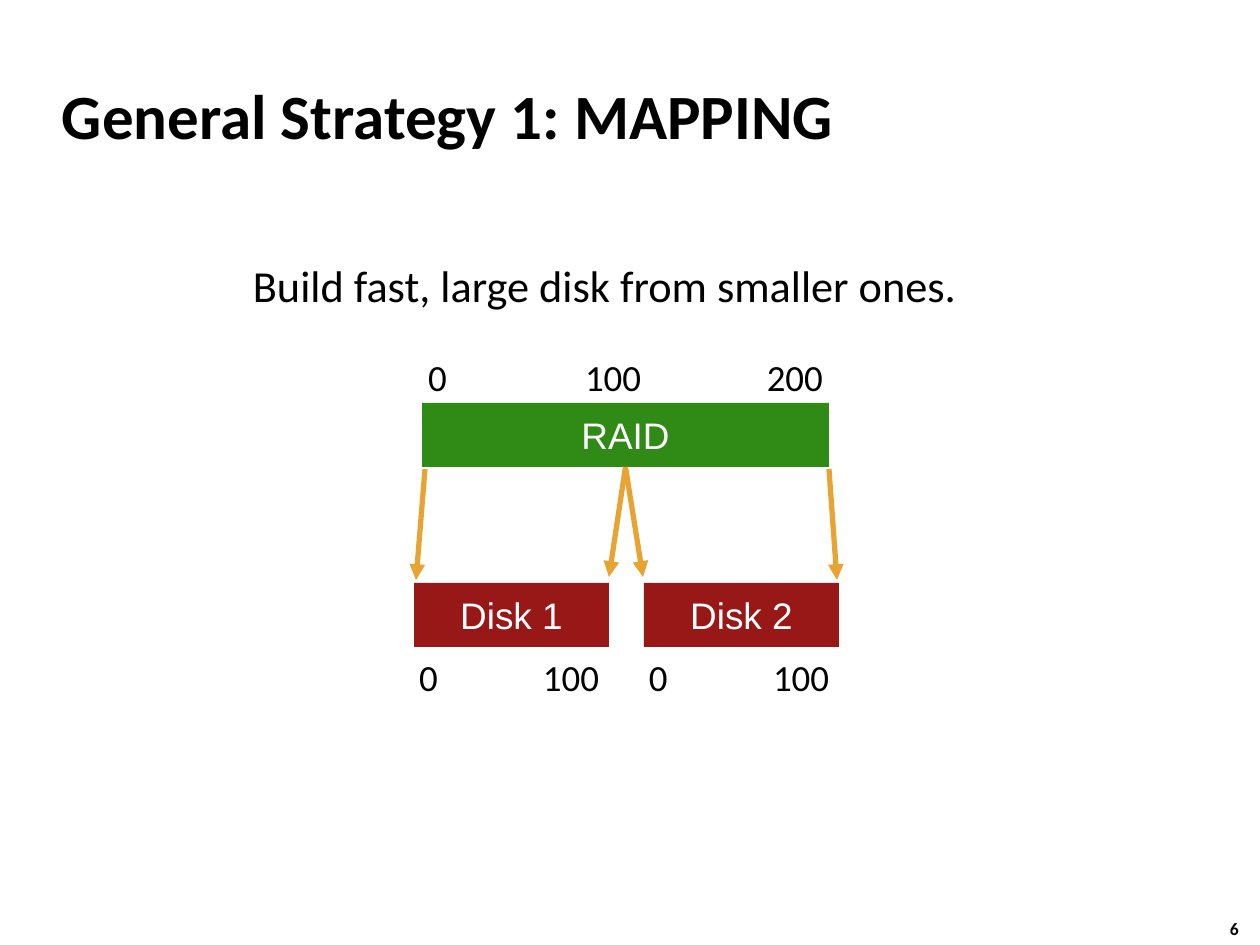
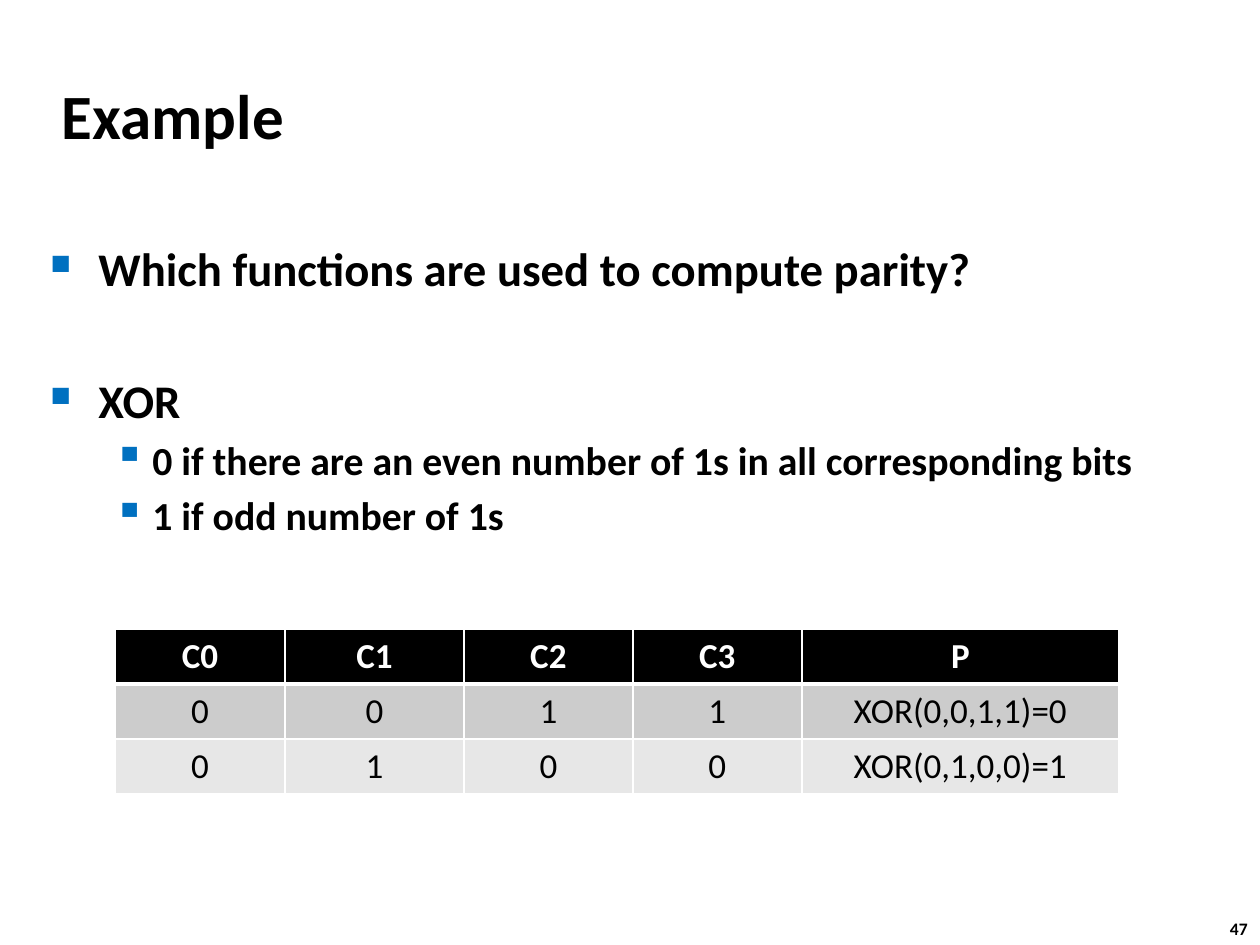
from lxml.etree import SubElement
from pptx import Presentation
from pptx.dml.color import RGBColor
from pptx.enum.shapes import MSO_CONNECTOR, MSO_SHAPE
from pptx.enum.text import MSO_ANCHOR, PP_ALIGN
from pptx.oxml.ns import qn
from pptx.util import Emu, Pt

COLORS = {
    "text": "000000",
    "white": "FFFFFF",
    "raid": "308B16",
    "disk": "971817",
    "arrow": "E8A433",
    "bullet": "0070C0",
    "header": "000000",
    "odd_row": "CCCCCC",
    "even_row": "E7E7E7",
}
EMU_PER_PX = 914400 / 126


def px(*lengths):
    return [Emu(round(length * EMU_PER_PX)) for length in lengths]


def add_text(slide, box, text, size, bold=False, margin=5, align=PP_ALIGN.LEFT):
    shape = slide.shapes.add_textbox(*px(*box))
    frame = shape.text_frame
    frame.word_wrap = False
    frame.vertical_anchor = MSO_ANCHOR.MIDDLE
    frame.margin_left, frame.margin_right = px(margin, margin)
    frame.margin_top, frame.margin_bottom = px(5, 5)
    paragraph = frame.paragraphs[0]
    paragraph.text = text
    paragraph.alignment = align
    paragraph.font.name = "Calibri"
    paragraph.font.size = Pt(size)
    paragraph.font.bold = bold
    paragraph.font.color.rgb = RGBColor.from_string(COLORS["text"])


presentation = Presentation()
presentation.slide_width, presentation.slide_height = px(1260, 945)

slides = []
for title, number in [("General Strategy 1: MAPPING", "6"), ("Example", "47")]:
    slide = presentation.slides.add_slide(presentation.slide_layouts[6])
    add_text(slide, (1217, 911, 47, 34), number, 10, bold=True, margin=13)
    add_text(slide, (49, 62, 1046, 105), title, 36, bold=True, margin=13)
    slides.append(slide)
mapping_slide, example_slide = slides

add_text(mapping_slide, (248, 253, 719, 63), "Build fast, large disk from smaller ones.", 25.3)

DISK_LEFTS = [414, 644]
blocks = {}
for name, color, left, top, width in [
    ("RAID", "raid", 422, 403, 407),
    ("Disk 1", "disk", DISK_LEFTS[0], 583, 195),
    ("Disk 2", "disk", DISK_LEFTS[1], 583, 195),
]:
    block = mapping_slide.shapes.add_shape(MSO_SHAPE.RECTANGLE, *px(left, top, width, 64))
    block.shadow.inherit = False
    block.fill.solid()
    block.fill.fore_color.rgb = RGBColor.from_string(COLORS[color])
    block.line.fill.background()
    frame = block.text_frame
    frame.margin_left = frame.margin_right = frame.margin_top = frame.margin_bottom = 0
    frame.vertical_anchor = MSO_ANCHOR.MIDDLE
    paragraph = frame.paragraphs[0]
    paragraph.text = name
    paragraph.alignment = PP_ALIGN.CENTER
    paragraph.font.name = "Arial"
    paragraph.font.size = Pt(21.1)
    paragraph.font.color.rgb = RGBColor.from_string(COLORS["white"])
    blocks[name] = block

for start_x, start_y, end_x, end_y, from_middle in [
    (626, 467, 609, 577, True),
    (626, 467, 643, 577, True),
    (829, 469, 837, 580, False),
    (425, 469, 416, 580, False),
]:
    arrow = mapping_slide.shapes.add_connector(
        MSO_CONNECTOR.STRAIGHT, *px(start_x, start_y, end_x, end_y)
    )
    if from_middle:
        arrow.begin_connect(blocks["RAID"], 2)
    arrow.line.color.rgb = RGBColor.from_string(COLORS["arrow"])
    arrow.line.width = Pt(3)
    SubElement(arrow.line._get_or_add_ln(), qn("a:tailEnd"), type="triangle")
    SubElement(arrow._element.spPr, qn("a:effectLst"))

add_text(mapping_slide, (423, 350, 29, 54), "0", 21.1)
add_text(mapping_slide, (580, 350, 67, 54), "100", 21.1)
add_text(mapping_slide, (761, 350, 67, 54), "200", 21.1, align=PP_ALIGN.RIGHT)
for left in DISK_LEFTS:
    add_text(mapping_slide, (left, 650, 29, 54), "0", 21.1)
    add_text(mapping_slide, (left + 124, 650, 67, 54), "100", 21.1)

body = example_slide.shapes.add_textbox(*px(38, 234, 1189, 436)).text_frame
body.word_wrap = True
BULLET_STYLES = [
    {"size": 26.7, "margin": 48, "hanging": 48, "symbol": "■", "scale": "60000"},
    {"size": 22.7, "margin": 102, "hanging": 39, "symbol": "▪", "scale": "110000"},
]
for index, (level, space_before, text) in enumerate([
    (0, 0, "Which functions are used to compute parity?"),
    (0, 43, "XOR"),
    (1, 4.5, "0 if there are an even number of 1s in all corresponding bits"),
    (1, 4.5, "1 if odd number of 1s"),
]):
    style = BULLET_STYLES[level]
    paragraph = body.add_paragraph() if index else body.paragraphs[0]
    paragraph.text = text
    paragraph.level = level
    paragraph.space_before = Pt(space_before)
    margin, hanging = px(style["margin"], style["hanging"])
    properties = paragraph._p.get_or_add_pPr()
    properties.set("marL", str(margin))
    properties.set("indent", str(-hanging))
    bullet_color = SubElement(properties, qn("a:buClr"))
    SubElement(bullet_color, qn("a:srgbClr"), val=COLORS["bullet"])
    SubElement(properties, qn("a:buSzPct"), val=style["scale"])
    SubElement(properties, qn("a:buChar"), char=style["symbol"])
    paragraph.font.name = "Calibri"
    paragraph.font.size = Pt(style["size"])
    paragraph.font.bold = True
    paragraph.font.color.rgb = RGBColor.from_string(COLORS["text"])

PARITY_ROWS = [
    ["C0", "C1", "C2", "C3", "P"],
    ["0", "0", "1", "1", "XOR(0,0,1,1)=0"],
    ["0", "1", "0", "0", "XOR(0,1,0,0)=1"],
]
COLUMN_WIDTHS = px(170, 179, 169, 169, 317)
table = example_slide.shapes.add_table(3, 5, *px(115, 629, 1004, 165)).table
for column, width in zip(table.columns, COLUMN_WIDTHS):
    column.width = width
for row_index, (values, fill) in enumerate(zip(PARITY_ROWS, ["header", "odd_row", "even_row"])):
    is_header = row_index == 0
    border_widths = {
        "a:lnL": 1,
        "a:lnR": 1,
        "a:lnT": 3 if row_index == 1 else 1,
        "a:lnB": 3 if is_header else 1,
    }
    for column_index, value in enumerate(values):
        cell = table.cell(row_index, column_index)
        for side, width in border_widths.items():
            border = SubElement(cell._tc.get_or_add_tcPr(), qn(side), w=str(Pt(width)))
            border_fill = SubElement(border, qn("a:solidFill"))
            SubElement(border_fill, qn("a:srgbClr"), val=COLORS["white"])
        cell.fill.solid()
        cell.fill.fore_color.rgb = RGBColor.from_string(COLORS[fill])
        paragraph = cell.text_frame.paragraphs[0]
        paragraph.text = value
        paragraph.alignment = PP_ALIGN.CENTER
        paragraph.font.name = "Calibri"
        paragraph.font.size = Pt(20)
        paragraph.font.bold = is_header
        paragraph.font.color.rgb = RGBColor.from_string(COLORS["white" if is_header else "text"])

presentation.save("out.pptx")
